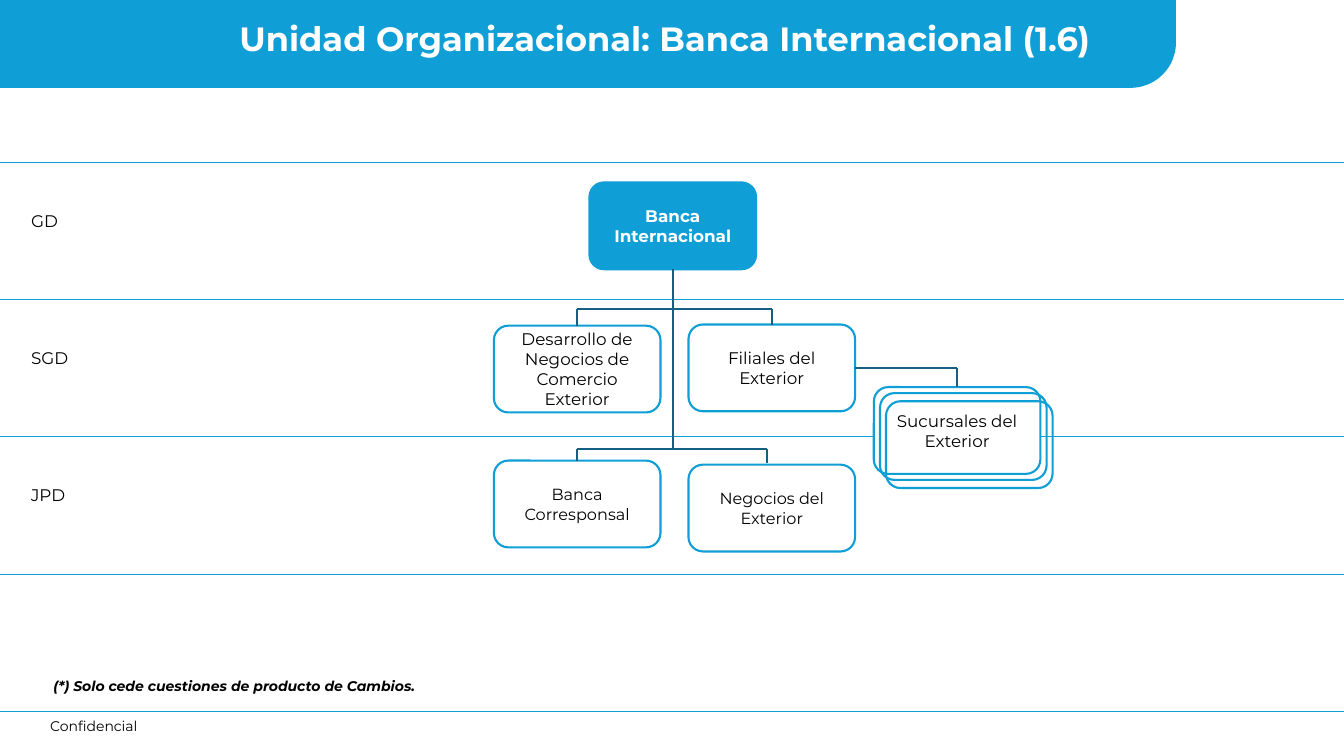
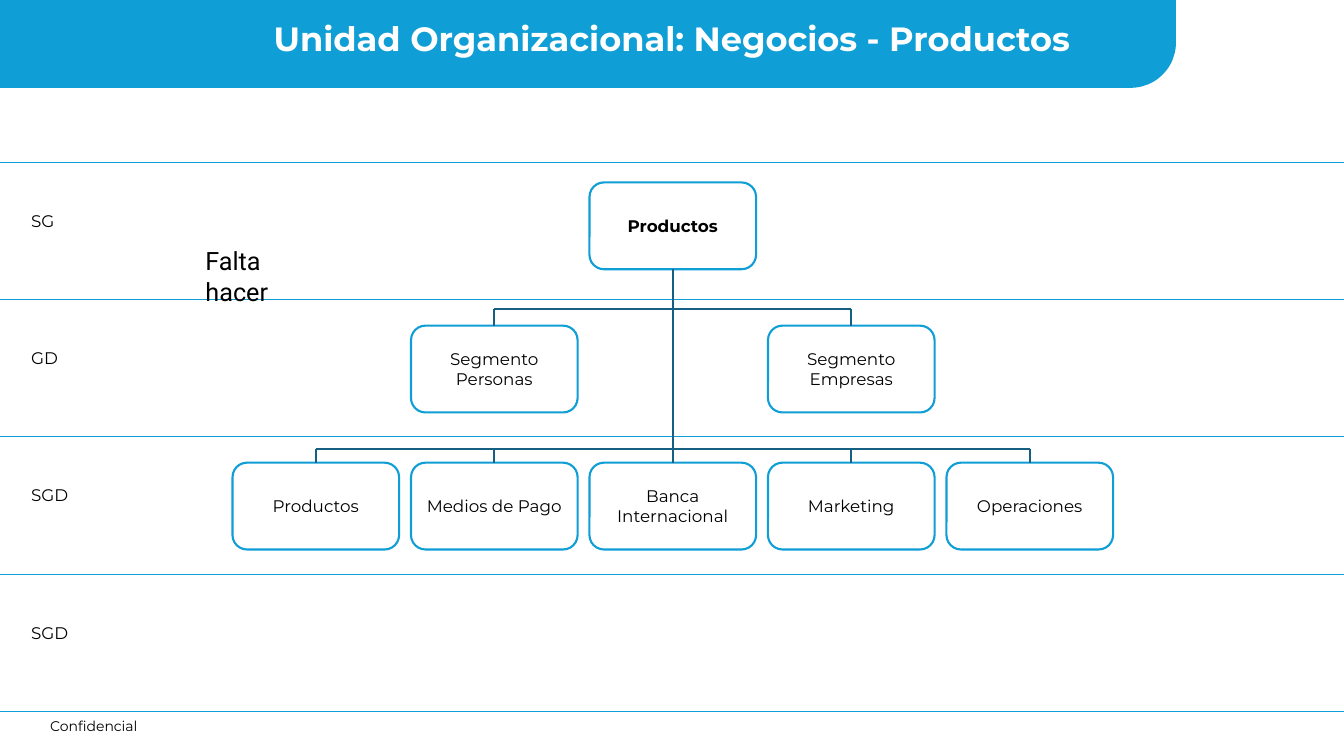
from lxml import etree
from pptx import Presentation
from pptx import util as u
from pptx.dml import color
from pptx.enum import shapes, text
from pptx.oxml import ns

Pt = u.Pt
TOP, LEFT, BOTTOM, RIGHT = range(4)

# Organisation chart grid, in points
SLIDE_W, SLIDE_H = 960, 540
BAND_TOP, BAND_STEP = 116, 98
BOX_W, BOX_H = 119, 62
CENTER, COLUMN_STEP = 480.6, 127.5
HEAD_TOP, SECOND_TOP, THIRD_TOP = 130.3, 232.6, 330.5
UPPER_BUS, LOWER_BUS = 221, 321


def rgb(value):
    return color.RGBColor.from_string(value)


def middle(box):
    """Horizontal centre of a box, in points."""
    return (box.left + box.width / 2) / Pt(1)


class OrgChart:
    BLUE, LINK, WHITE, BLACK = "0F9ED5", "156082", "FFFFFF", "000000"
    FONT = "Montserrat"

    def __init__(self):
        self.prs = Presentation()
        self.prs.slide_width, self.prs.slide_height = Pt(SLIDE_W), Pt(SLIDE_H)
        self.slide = None

    def new_slide(self, title, title_left, title_width, levels):
        """Start a slide with its bands, banner, title, levels and footer."""
        self.slide = self.prs.slides.add_slide(self.prs.slide_layouts[6])
        self.label("Confidencial", 28.8, 509, 120, size=10)
        for band in range(5):
            y = BAND_TOP + band * BAND_STEP
            self.line(0, y, SLIDE_W, y, self.BLUE, 0.5)
        self.banner()
        self.label(title, title_left, 9.4, title_width, size=24, bold=True,
                   ink=self.WHITE, align=text.PP_ALIGN.CENTER)
        for band, level in enumerate(levels):
            self.label(level, 15.1, BAND_TOP + 31 + band * BAND_STEP, 60)

    def banner(self):
        banner = self.shape(shapes.MSO_SHAPE.ROUND_1_RECTANGLE, 0, -2, 840, 64.8)
        banner.adjustments[0] = 0.5
        banner.element.spPr.xfrm.set("flipV", "1")
        self.paint(banner, self.BLUE)
        banner.line.fill.background()

    def shape(self, kind, left, top, width, height):
        shape = self.slide.shapes.add_shape(
            kind, Pt(left), Pt(top), Pt(width), Pt(height))
        shape.shadow.inherit = False
        return shape

    def paint(self, shape, fill):
        if fill:
            shape.fill.solid()
            shape.fill.fore_color.rgb = rgb(fill)
        else:
            shape.fill.background()

    def set_text(self, frame, words, size, ink, bold, italic, align, font):
        frame.word_wrap = True
        paragraph = frame.paragraphs[0]
        paragraph.text = words
        paragraph.alignment = align
        style = paragraph.font
        style.name, style.size = font, Pt(size)
        style.bold, style.italic = bold, italic
        style.color.rgb = rgb(ink)

    def label(self, words, left, top, width, size=12, ink=BLACK, bold=False,
              italic=False, align=text.PP_ALIGN.LEFT, font=FONT):
        box = self.slide.shapes.add_textbox(
            Pt(left), Pt(top), Pt(width), Pt(size * 1.2 + 7.2))
        self.set_text(box.text_frame, words, size, ink, bold, italic, align, font)

    def box(self, words, left, top, fill=None, ink=BLACK, size=12, bold=False):
        box = self.shape(shapes.MSO_SHAPE.ROUNDED_RECTANGLE,
                         left, top, BOX_W, BOX_H)
        self.paint(box, fill)
        box.line.color.rgb = rgb(self.BLUE)
        box.line.width = Pt(1.5)
        if words:
            box.text_frame.vertical_anchor = text.MSO_ANCHOR.MIDDLE
            self.set_text(box.text_frame, words, size, ink, bold, False,
                          text.PP_ALIGN.CENTER, self.FONT)
        return box

    def column_box(self, words, column, top, **style):
        """Box in a column counted from the middle one (0)."""
        left = CENTER - BOX_W / 2 + column * COLUMN_STEP
        return self.box(words, left, top, **style)

    def line(self, x1, y1, x2, y2, ink=LINK, width=1.5):
        line = self.slide.shapes.add_connector(
            shapes.MSO_CONNECTOR.STRAIGHT, Pt(x1), Pt(y1), Pt(x2), Pt(y2))
        line.line.color.rgb = rgb(ink)
        line.line.width = Pt(width)
        etree.SubElement(line.element.spPr, ns.qn("a:effectLst"))
        return line

    def drop(self, box, y):
        """Vertical line from height y to the top of a box."""
        x = middle(box)
        self.line(x, y, x, box.top / Pt(1)).end_connect(box, TOP)

    def trunk(self, head, y):
        """Vertical line from the bottom of the head box to height y."""
        x = middle(head)
        trunk = self.line(x, HEAD_TOP + BOX_H, x, y)
        trunk.begin_connect(head, BOTTOM)
        return trunk


def international_banking(chart):
    chart.new_slide("Unidad Organizacional: Banca Internacional (1.6)",
                    120.2, 709.2, ["GD", "SGD", "JPD"])

    # Boxes
    head = chart.column_box("Banca Internacional", 0, HEAD_TOP,
                            fill=chart.BLUE, ink=chart.WHITE, bold=True)
    branches = chart.box("Sucursales del Exterior", 624.2, 276.5,
                         fill=chart.WHITE)
    correspondent = chart.box("Banca Corresponsal", 352.8, 329, size=11.5)
    trade = chart.box("Desarrollo de Negocios de Comercio Exterior",
                      352.8, SECOND_TOP)
    subsidiaries = chart.box("Filiales del Exterior", 491.8, 231.8)
    chart.box("Negocios del Exterior", 491.8, 331.9, size=11.5)
    for left, top in ((628.6, 280.8), (632.9, 286.6)):
        chart.box(None, left, top)

    # Links from the head
    chart.trunk(head, LOWER_BUS)
    chart.line(middle(trade), UPPER_BUS, middle(subsidiaries), UPPER_BUS)
    for box in (trade, subsidiaries):
        chart.drop(box, UPPER_BUS)
    abroad_x = 548
    chart.line(middle(correspondent), LOWER_BUS, abroad_x, LOWER_BUS)
    chart.drop(correspondent, LOWER_BUS)
    chart.line(abroad_x, LOWER_BUS, abroad_x, 330.5)

    # Link from subsidiaries to branches
    side_y = 231.8 + BOX_H / 2
    side = chart.line(491.8 + BOX_W, side_y, middle(branches), side_y)
    side.begin_connect(subsidiaries, RIGHT)
    chart.drop(branches, side_y)

    chart.label("(*) Solo cede cuestiones de producto de Cambios.",
                31, 480.2, 300, size=10, bold=True, italic=True)


def products(chart):
    chart.new_slide("Unidad Organizacional: Negocios - Productos",
                    176.4, 607, ["SG", "GD", "SGD", "SGD"])

    # Boxes
    head = chart.column_box("Productos", 0, HEAD_TOP, bold=True)
    segments = [chart.column_box(name, column, SECOND_TOP) for name, column in
                (("Segmento Personas", -1), ("Segmento Empresas", 1))]
    areas = [chart.column_box(name, column, THIRD_TOP) for column, name in
             enumerate(("Productos", "Medios de Pago", "Banca Internacional",
                        "Marketing", "Operaciones"), start=-2)]

    # Links
    chart.trunk(head, THIRD_TOP).end_connect(areas[2], TOP)
    for row, bus in ((segments, UPPER_BUS), (areas, LOWER_BUS)):
        chart.line(middle(row[0]), bus, middle(row[-1]), bus)
        for box in row:
            if box is not areas[2]:
                chart.drop(box, bus)

    chart.label("Falta hacer", 139.7, 172, 72, size=18, font="Roboto")


def main():
    chart = OrgChart()
    international_banking(chart)
    products(chart)
    chart.prs.save("out.pptx")


if __name__ == "__main__":
    main()
